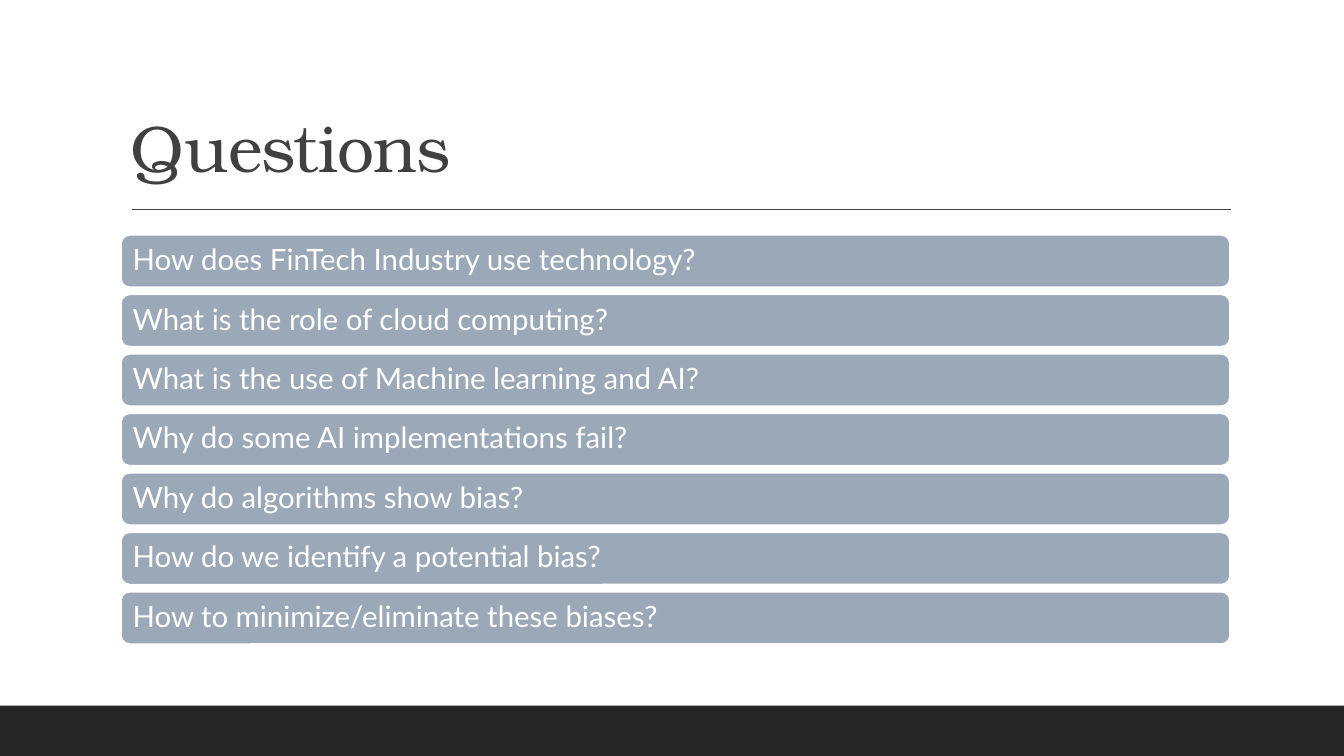
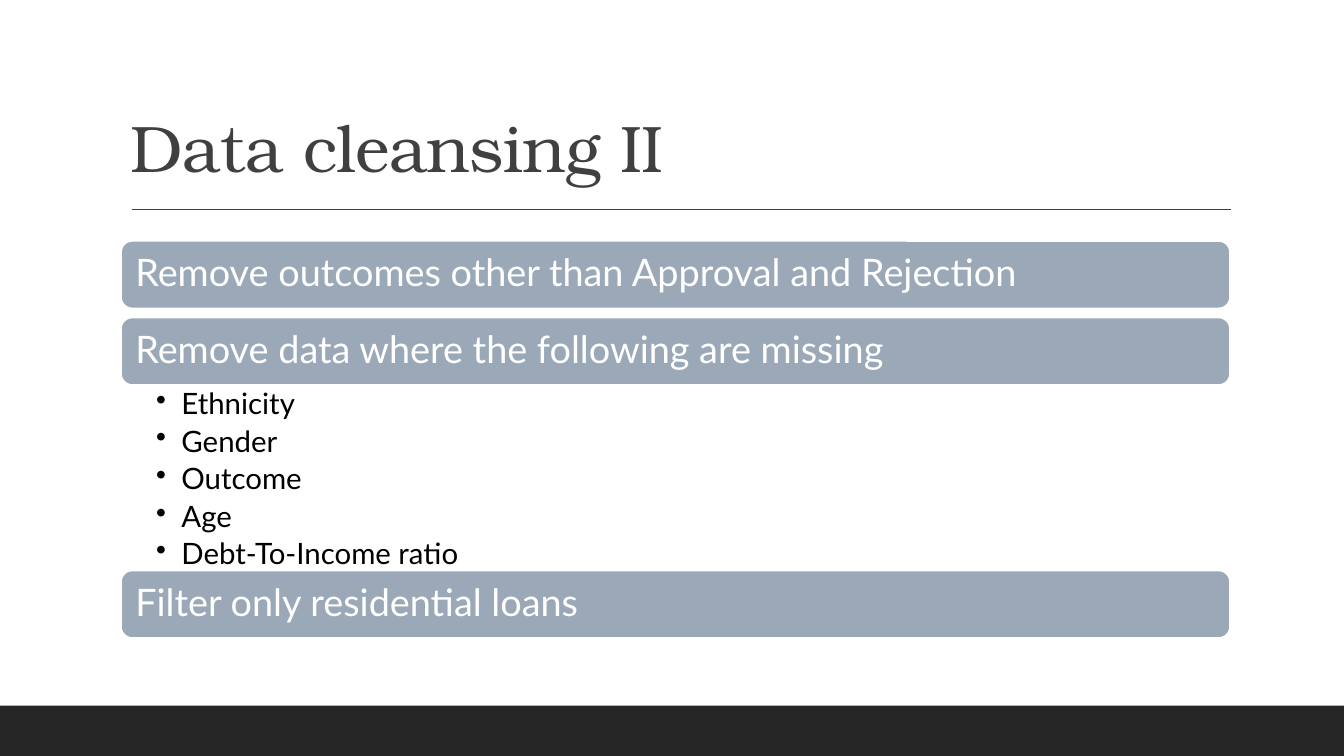
from pptx import Presentation
from pptx.dml.color import RGBColor
from pptx.enum.shapes import MSO_CONNECTOR as LINE, MSO_SHAPE as SHAPE
from pptx.enum.text import MSO_ANCHOR as ANCHOR, PP_ALIGN as ALIGN
from pptx.oxml.ns import qn
from pptx.util import Inches, Pt
from lxml.etree import SubElement

WHITE = RGBColor(0xFF, 0xFF, 0xFF)
BLACK = RGBColor(0, 0, 0)
INK = RGBColor(0x40, 0x40, 0x40)
BAND = RGBColor(0x26, 0x26, 0x26)
STEEL = RGBColor(0x9B, 0xA8, 0xB7)
SERIF, SANS = "TeX Gyre Bonum", "Lato"

WIDTH, HEIGHT = 13.33, 7.5
LEFT, SPAN = 1.2, 11

QUESTIONS = [
    "How does FinTech Industry use technology?",
    "What is the role of cloud computing?",
    "What is the use of Machine learning and AI?",
    "Why do some AI implementations fail?",
    "Why do algorithms show bias?",
    "How do we identify a potential bias?",
    "How to minimize/eliminate these biases?",
]
REMOVALS = [
    "Remove outcomes other than Approval and Rejection",
    "Remove data where the following are missing",
]
FIELDS = ["Ethnicity", "Gender", "Outcome", "Age", "Debt-To-Income ratio"]


def write(shape, *lines, size, color, font=SANS, anchor=ANCHOR.MIDDLE,
          inset=(0.1, 0.05, 0.1, 0.05), after=0, track=0, bullet=None):
    """Fill a shape with one paragraph per line; inset is left, top, right, bottom."""
    frame = shape.text_frame
    frame.word_wrap = True
    frame.vertical_anchor = anchor
    (frame.margin_left, frame.margin_top,
     frame.margin_right, frame.margin_bottom) = map(Inches, inset)
    for i, line in enumerate(lines):
        para = frame.add_paragraph() if i else frame.paragraphs[0]
        if bullet:
            props = para._p.get_or_add_pPr()
            props.set("marL", str(Inches(0.25)))
            props.set("indent", str(-Inches(0.25)))
            SubElement(props, qn("a:buChar"), char=bullet)
        para.alignment = ALIGN.LEFT
        para.line_spacing = 0.9
        para.space_after = Pt(after)
        run = para.add_run()
        run.text = line
        run.font.name, run.font.size = font, Pt(size)
        run.font.color.rgb = color
        if track:
            run.font._element.set("spc", str(int(track * 100)))


def add_box(slide, kind, left, top, width, height, fill):
    box = slide.shapes.add_shape(kind, *map(Inches, (left, top, width, height)))
    box.shadow.inherit = False
    box.fill.solid()
    box.fill.fore_color.rgb = fill
    box.line.fill.background()
    return box


def add_text(slide, left, top, width, height, *lines, **style):
    box = slide.shapes.add_textbox(*map(Inches, (left, top, width, height)))
    write(box, *lines, **style)


def add_rule(slide, left, right, top):
    rule = slide.shapes.add_connector(
        LINE.STRAIGHT, *map(Inches, (left, top, right, top)))
    rule.line.color.rgb = INK
    rule.line.width = Pt(1)
    SubElement(rule._element.spPr, qn("a:effectLst"))


def add_bars(slide, lines, top, height, step, size, pad):
    """Stack rounded bars, one for each line, at an equal step."""
    for i, line in enumerate(lines):
        bar = add_box(slide, SHAPE.ROUNDED_RECTANGLE,
                      LEFT, top + i * step, SPAN, height, STEEL)
        bar.line.color.rgb = WHITE
        bar.line.width = Pt(1.25)
        write(bar, line, size=size, color=WHITE, inset=(pad, 0, pad, 0))


def add_slide(deck, title):
    """Add a blank slide with the shared band, rule and title."""
    slide = deck.slides.add_slide(deck.slide_layouts[6])
    add_box(slide, SHAPE.RECTANGLE, 0, 7, WIDTH, HEIGHT - 7, BAND)
    add_rule(slide, 1.31, 12.21, 2.08)
    add_text(slide, LEFT, 0.31, SPAN, 1.59, title, size=47, color=INK,
             font=SERIF, anchor=ANCHOR.BOTTOM, track=-0.5)
    return slide


def main():
    deck = Presentation()
    deck.slide_width, deck.slide_height = Inches(WIDTH), Inches(HEIGHT)

    slide = add_slide(deck, "Questions")
    add_bars(slide, QUESTIONS, 2.33, 0.52, 0.59, size=21, pad=0.09)

    slide = add_slide(deck, "Data cleansing II")
    style = dict(height=0.67, step=0.76, size=27, pad=0.11)
    add_bars(slide, REMOVALS, 2.39, **style)
    add_text(slide, LEFT, 3.82, SPAN, 1.83, *FIELDS, size=21, color=BLACK,
             anchor=ANCHOR.TOP, inset=(0.35, 0.04, 0.21, 0.04),
             after=4.2, bullet="•")
    add_bars(slide, ["Filter only residential loans"], 5.66, **style)

    deck.save("out.pptx")


if __name__ == "__main__":
    main()
